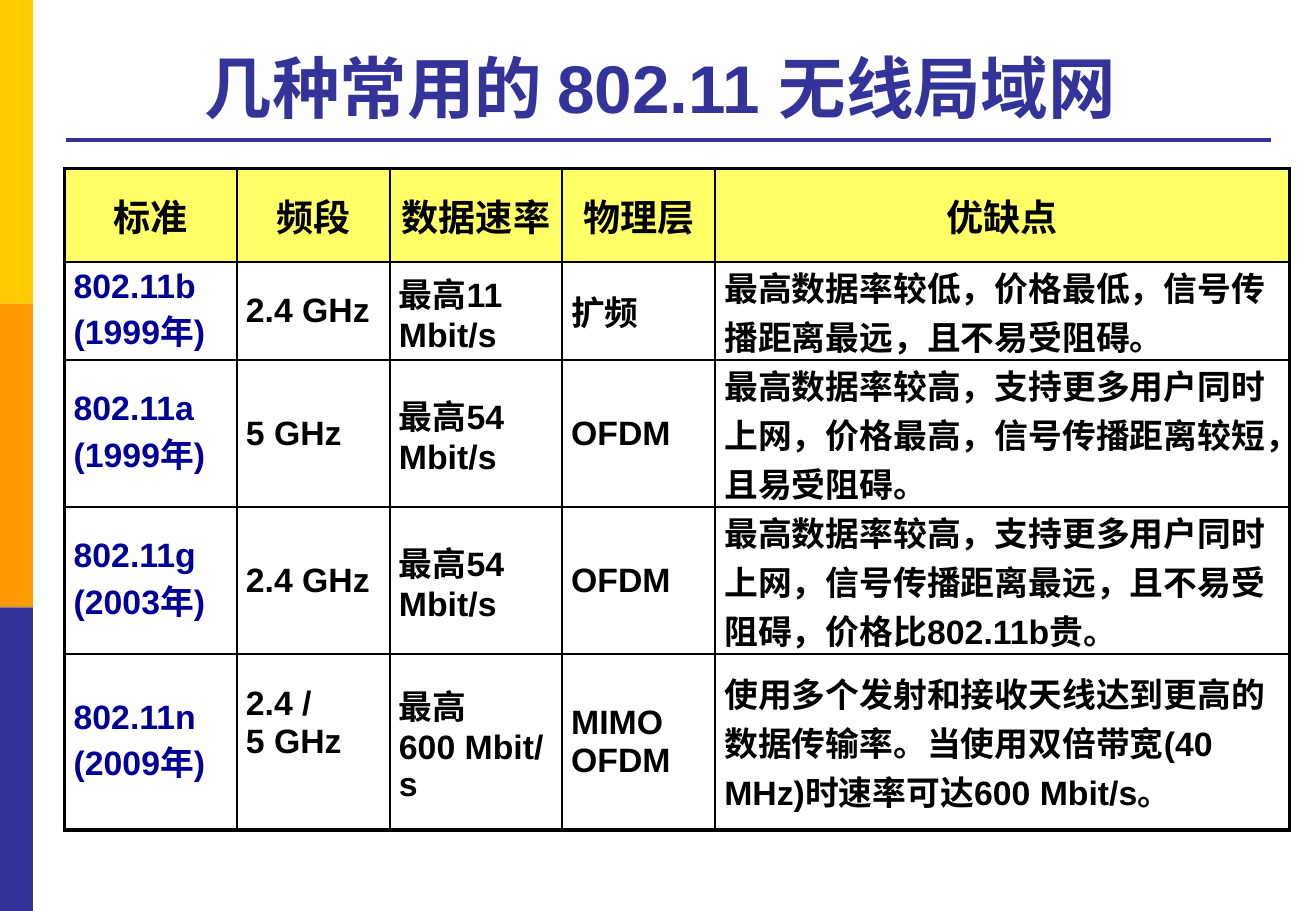
import pptx
import pptx.dml.color
import pptx.enum.lang
import pptx.enum.shapes
import pptx.enum.text
import pptx.util
from lxml import etree
from pptx.util import Cm, Pt

NAVY, BLACK = "333399", "000000"
MIDDLE = pptx.enum.text.MSO_ANCHOR.MIDDLE
A = "{http://schemas.openxmlformats.org/drawingml/2006/main}"


def rgb(value):
    return pptx.dml.color.RGBColor.from_string(value)


def style(paragraph, size, color, align):
    paragraph.alignment = align
    for run in paragraph.runs:
        run.font.name = "Arial"
        run.font.size = Pt(size)
        run.font.bold = True
        run.font.color.rgb = rgb(color)
        run.font.language_id = pptx.enum.lang.MSO_LANGUAGE_ID.SIMPLIFIED_CHINESE


LEFT = pptx.enum.text.PP_ALIGN.LEFT
CENTER = pptx.enum.text.PP_ALIGN.CENTER

deck = pptx.Presentation()
deck.slide_width, deck.slide_height = Cm(27.51), Cm(19.05)
slide = deck.slides.add_slide(deck.slide_layouts[5])

# Side band in three equal parts
band_height = 19.05 / 3
for i, color in enumerate(["FFCC00", "FF9900", NAVY]):
    band = slide.shapes.add_shape(
        pptx.enum.shapes.MSO_SHAPE.RECTANGLE,
        Cm(0), Cm(i * band_height), Cm(0.69), Cm(band_height))
    band.shadow.inherit = False
    band.fill.solid()
    band.fill.fore_color.rgb = rgb(color)
    band.line.fill.background()

# Title and the rule below it
title = slide.shapes.title
title.left, title.top, title.width, title.height = Cm(1.23), Cm(0.53), Cm(25.15), Cm(2.26)
title.text_frame.text = "几种常用的 802.11 无线局域网"
title.text_frame.auto_size = pptx.enum.text.MSO_AUTO_SIZE.NONE
title.text_frame.vertical_anchor = pptx.enum.text.MSO_ANCHOR.BOTTOM
style(title.text_frame.paragraphs[0], 40, NAVY, CENTER)

rule = slide.shapes.add_connector(
    pptx.enum.shapes.MSO_CONNECTOR.STRAIGHT, Cm(1.38), Cm(2.92), Cm(26.57), Cm(2.92))
rule.line.color.rgb = rgb(NAVY)
rule.line.width = Pt(2.25)
etree.SubElement(rule._element.spPr, A + "effectLst")

# Table of standards
standards = [
    ["标准", "频段", "数据速率", "物理层", "优缺点"],
    ["802.11b\n(1999年)", "2.4 GHz", "最高11 Mbit/s", "扩频",
     "最高数据率较低，价格最低，信号传播距离最远，且不易受阻碍。"],
    ["802.11a\n(1999年)", "5 GHz", "最高54 Mbit/s", "OFDM",
     "最高数据率较高，支持更多用户同时上网，价格最高，信号传播距离较短，且易受阻碍。"],
    ["802.11g\n(2003年)", "2.4 GHz", "最高54 Mbit/s", "OFDM",
     "最高数据率较高，支持更多用户同时上网，信号传播距离最远，且不易受阻碍，价格比802.11b贵。"],
    ["802.11n\n(2009年)", "2.4 / 5\u00a0GHz", "最高600\u00a0Mbit/s", "MIMO\nOFDM",
     "使用多个发射和接收天线达到更高的数据传输率。当使用双倍带宽(40 MHz)时速率可达600 Mbit/s。"],
]
widths = [3.6, 3.2, 3.6, 3.2, 12]
heights = [1.95, 1.83, 2.77, 2.77, 3.68]
last_row, last_col = len(heights) - 1, len(widths) - 1

table = slide.shapes.add_table(
    len(heights), len(widths), Cm(1.35), Cm(3.53), Cm(sum(widths)), Cm(sum(heights))).table
table.horz_banding = False
table.first_row = False
for column, width in zip(table.columns, widths):
    column.width = Cm(width)
for row, height in zip(table.rows, heights):
    row.height = Cm(height)

for r, standard in enumerate(standards):
    for c, text in enumerate(standard):
        cell = table.cell(r, c)
        cell.text_frame.text = text
        cell.vertical_anchor = MIDDLE
        cell.margin_left = cell.margin_right = Cm(0.19)
        cell.margin_top = cell.margin_bottom = Cm(0)

        # Thick outer frame, thin inner grid
        outer_edges = {"lnL": c == 0, "lnR": c == last_col, "lnT": r == 0, "lnB": r == last_row}
        for edge, outer in outer_edges.items():
            border = etree.SubElement(cell._tc.get_or_add_tcPr(), A + edge,
                                      w=str(int(Pt(2.25 if outer else 1))))
            fill = etree.SubElement(border, A + "solidFill")
            etree.SubElement(fill, A + "srgbClr", val=BLACK)

        header = r == 0
        if header:
            cell.fill.solid()
            cell.fill.fore_color.rgb = rgb("FFFF66")
        else:
            cell.fill.background()
        color = "000099" if c == 0 and not header else BLACK
        for paragraph in cell.text_frame.paragraphs:
            style(paragraph, 22 if header else 20, color, CENTER if header else LEFT)

# The 802.11n band sits one line above the middle of its row
table.cell(last_row, 1).margin_bottom = Cm(0.81)

deck.save("out.pptx")
